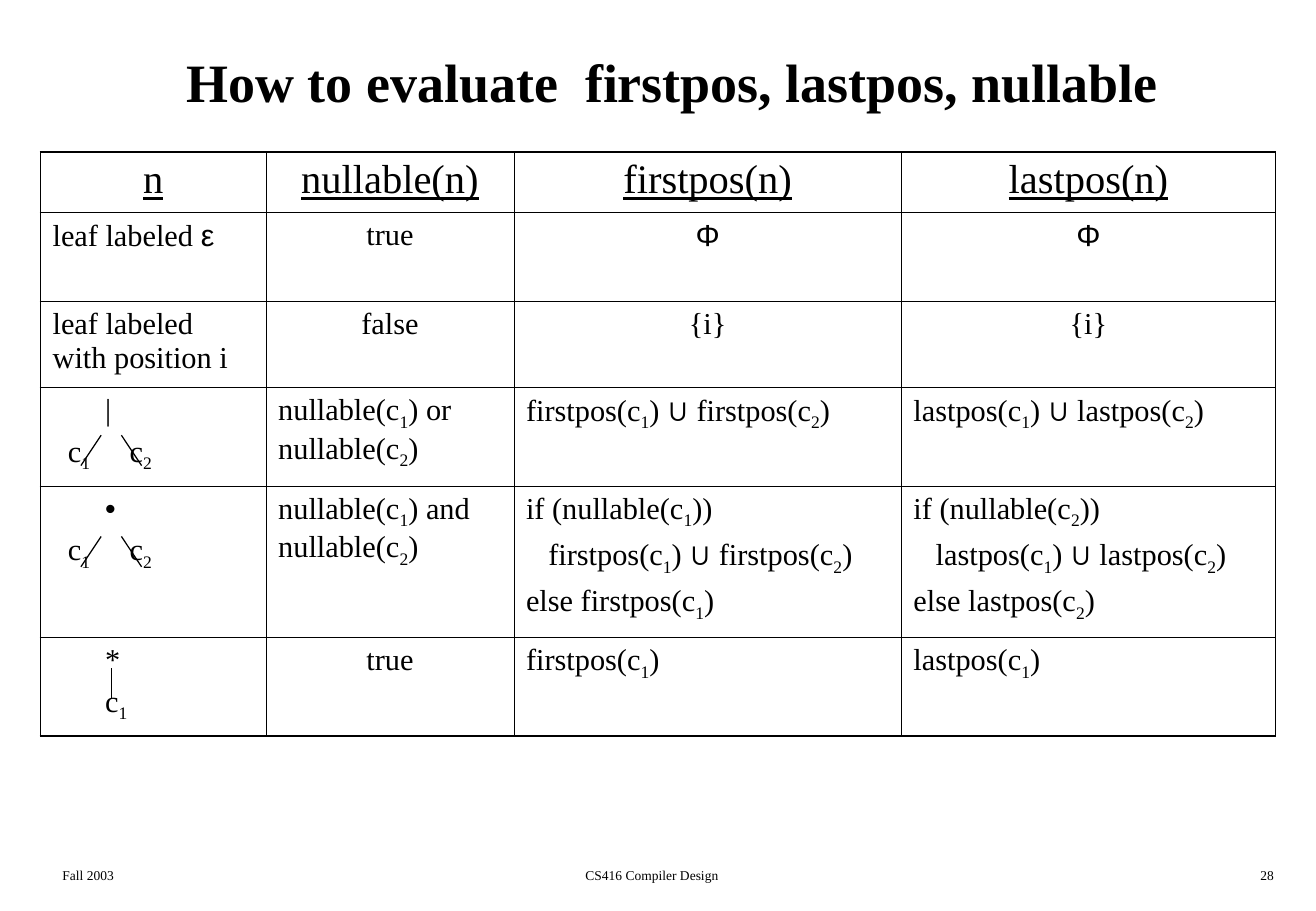
import itertools

import pptx
import pptx.dml.color
import pptx.enum.shapes
import pptx.enum.text
import pptx.oxml
import pptx.oxml.ns
import pptx.util

PX = 7620  # EMU per px, 120 px to the inch
BLACK = "000000"
SERIF, SANS = "Times New Roman", "Arial"
SUBSCRIPTS = {"₁": "1", "₂": "2"}
SANS_SYMBOLS = "εΦ∪•"
ALIGN = pptx.enum.text.PP_ALIGN

COLUMN_WIDTHS = [223, 245, 383, 370]
ROW_HEIGHTS = [60, 88, 85, 97, 150, 97]
TREE_TABS = {"\t|": [52], "\t•": [52], "\t*": [52], "\tc₁": [52],
             "\tc₁\tc₂": [15, 76]}
CODE_TABS = [22]

# A newline starts a paragraph; ₁ and ₂ become subscript runs
RULES = [
    ["n", "nullable(n)", "firstpos(n)", "lastpos(n)"],
    ["leaf labeled ε", "true", "Φ", "Φ"],
    ["leaf labeled with position i", "false", "{i}", "{i}"],
    ["\t|\n\tc₁\tc₂", "nullable(c₁) or nullable(c₂)",
     "firstpos(c₁) ∪ firstpos(c₂)", "lastpos(c₁) ∪ lastpos(c₂)"],
    ["\t•\n\tc₁\tc₂", "nullable(c₁) and nullable(c₂)",
     "if (nullable(c₁))\n\tfirstpos(c₁) ∪ firstpos(c₂)\nelse firstpos(c₁)",
     "if (nullable(c₂))\n\tlastpos(c₁) ∪ lastpos(c₂)\nelse lastpos(c₂)"],
    ["\t*\n\tc₁", "true", "firstpos(c₁)", "lastpos(c₁)"],
]

# Tree edges by row: x and y from the row's top left corner
TREE_EDGES = {
    3: [(60, 47, 40, 77), (80, 47, 100, 77)],
    4: [(60, 50, 40, 80), (80, 50, 100, 80)],
    5: [(70, 30, 70, 60)],
}


def px(*lengths):
    return [pptx.util.Emu(length * PX) for length in lengths]


def color(hex_string):
    return pptx.dml.color.RGBColor.from_string(hex_string)


def run_style(char):
    if char in SUBSCRIPTS:
        return "subscript"
    return "sans" if char in SANS_SYMBOLS else "serif"


def add_runs(paragraph, text, size, bold=False, underline=False):
    for style, chars in itertools.groupby(text, run_style):
        run = paragraph.add_run()
        run.text = "".join(SUBSCRIPTS.get(char, char) for char in chars)
        run.font.name = SANS if style == "sans" else SERIF
        run.font.size = pptx.util.Pt(size)
        run.font.bold = bold
        run.font.underline = underline
        run.font.color.rgb = color(BLACK)
        if style == "subscript":
            run.font._element.set("baseline", "-25000")


def add_tabs(paragraph, stops):
    tab_list = pptx.oxml.parse_xml(
        f"<a:tabLst {pptx.oxml.ns.nsdecls('a')}>"
        + "".join(f'<a:tab pos="{stop * PX}" algn="l"/>' for stop in stops)
        + "</a:tabLst>")
    paragraph._p.get_or_add_pPr().append(tab_list)


def add_label(slide, box, text, size, align, bold=False, middle=False):
    frame = slide.shapes.add_textbox(*px(*box)).text_frame
    frame.word_wrap = True
    if middle:
        frame.vertical_anchor = pptx.enum.text.MSO_ANCHOR.MIDDLE
    frame.paragraphs[0].alignment = align
    add_runs(frame.paragraphs[0], text, size, bold)


def set_borders(cell, outer_sides):
    for side in "LRTB":
        width = pptx.util.Pt(1.08 if side in outer_sides else 0.45)
        cell._tc.get_or_add_tcPr().append(pptx.oxml.parse_xml(
            f'<a:ln{side} {pptx.oxml.ns.nsdecls("a")} w="{width}"><a:solidFill>'
            f'<a:srgbClr val="{BLACK}"/></a:solidFill></a:ln{side}>'))


def fill_cell(cell, text, header, centered):
    frame = cell.text_frame
    for index, line in enumerate(text.split("\n")):
        paragraph = frame.add_paragraph() if index else frame.paragraphs[0]
        paragraph.alignment = ALIGN.CENTER if centered else ALIGN.LEFT
        if index:
            paragraph.space_before = pptx.util.Pt(4.5)
        if line.startswith("\t"):
            add_tabs(paragraph, TREE_TABS.get(line, CODE_TABS))
        add_runs(paragraph, line, 24 if header else 18, underline=header)


def add_rules_table(slide, left, top):
    row_count, column_count = len(RULES), len(COLUMN_WIDTHS)
    table = slide.shapes.add_table(
        row_count, column_count,
        *px(left, top, sum(COLUMN_WIDTHS), sum(ROW_HEIGHTS))).table
    table.first_row = table.horz_banding = False
    for column, width in zip(table.columns, px(*COLUMN_WIDTHS)):
        column.width = width
    for row, height in zip(table.rows, px(*ROW_HEIGHTS)):
        row.height = height

    for r, c in itertools.product(range(row_count), range(column_count)):
        cell, text = table.cell(r, c), RULES[r][c]
        header = r == 0
        fill_cell(cell, text, header, header or (c > 0 and "(" not in text))
        edges = {"L": c == 0, "R": c == column_count - 1,
                 "T": r == 0, "B": r == row_count - 1}
        set_borders(cell, [side for side in edges if edges[side]])
        cell.fill.background()

    # Syntax tree edges in the first column
    for r, edges in TREE_EDGES.items():
        row_top = top + sum(ROW_HEIGHTS[:r])
        for x1, y1, x2, y2 in edges:
            add_edge(slide, left + x1, row_top + y1, left + x2, row_top + y2)


def add_edge(slide, *ends):
    edge = slide.shapes.add_connector(
        pptx.enum.shapes.MSO_CONNECTOR.STRAIGHT, *px(*ends))
    edge.line.color.rgb = color(BLACK)
    edge.line.width = pptx.util.Pt(0.75)
    edge._element.spPr.append(pptx.oxml.parse_xml(
        f"<a:effectLst {pptx.oxml.ns.nsdecls('a')}/>"))


def add_footer(slide, top, height):
    for left, width, text, align in [
            (50, 271, "Fall 2003", ALIGN.LEFT),
            (401, 487, "CS416 Compiler Design", ALIGN.CENTER),
            (1000, 271, "28", ALIGN.RIGHT)]:
        add_label(slide, (left, top, width, height), text, 8, align)


def main():
    deck = pptx.Presentation()
    deck.slide_width = pptx.util.Inches(10.84)
    deck.slide_height = pptx.util.Inches(7.5)
    slide = deck.slides.add_slide(deck.slide_layouts[6])
    add_label(slide, (50, 20, 1230, 120),
              "How to evaluate  firstpos, lastpos, nullable", 32,
              ALIGN.CENTER, bold=True, middle=True)
    add_rules_table(slide, 40, 150)
    add_footer(slide, 851, 30)
    deck.save("out.pptx")


if __name__ == "__main__":
    main()
